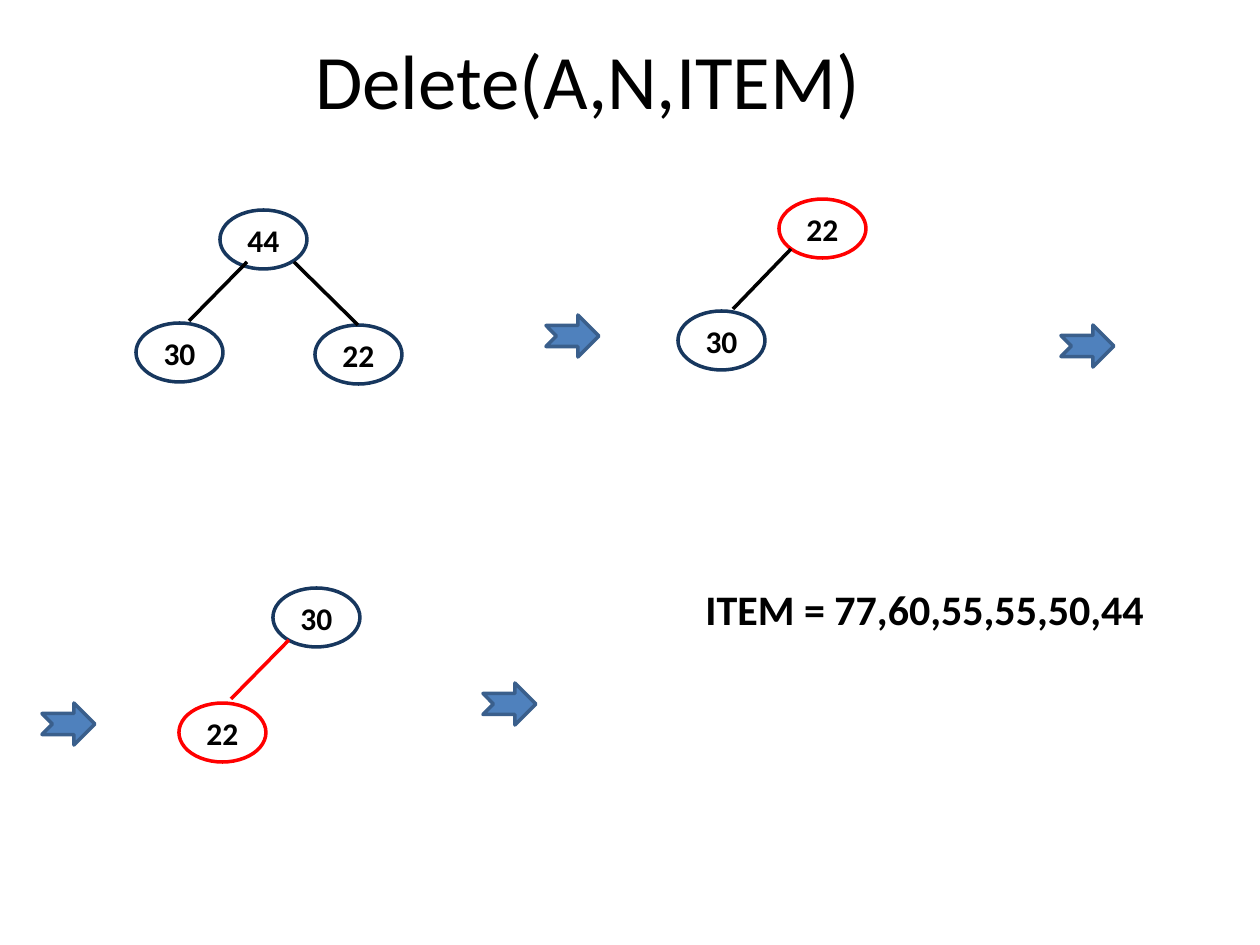
"""Build the slide that shows heap deletion step by step."""
import pptx
import pptx.util
import pptx.dml.color
import pptx.enum.shapes
import pptx.enum.text
import pptx.oxml

EMU_PER_PX = 914400 / 126
FONT = "Calibri"
NODE_SIZE = (87, 59)
ARROW_SIZE = (53, 42)
LINE_WIDTH = pptx.util.Pt(2)
BLACK = pptx.dml.color.RGBColor(0x00, 0x00, 0x00)
RED = pptx.dml.color.RGBColor(0xFF, 0x00, 0x00)
NAVY = pptx.dml.color.RGBColor(0x17, 0x37, 0x5E)
BLUE = pptx.dml.color.RGBColor(0x4F, 0x81, 0xBD)
DARK_BLUE = pptx.dml.color.RGBColor(0x3A, 0x5F, 0x8C)

TREES = [
    {
        "nodes": [("44", 220, 210, NAVY), ("30", 136, 323, NAVY), ("22", 315, 325, NAVY)],
        "edges": [(189, 321, 247, 262, BLACK), (294, 262, 358, 325, BLACK)],
    },
    {
        "nodes": [("22", 779, 199, RED), ("30", 678, 311, NAVY)],
        "edges": [(733, 309, 791, 249, BLACK)],
    },
    {
        "nodes": [("30", 273, 588, NAVY), ("22", 179, 703, RED)],
        "edges": [(231, 699, 289, 640, RED)],
    },
]
ARROWS = [(546, 315), (1061, 325), (483, 683), (42, 703)]


def px(*lengths):
    """Turn pixel lengths into EMU."""
    return [pptx.util.Emu(round(length * EMU_PER_PX)) for length in lengths]


def write_text(shape, text, size, bold, centred):
    """Write one paragraph into a shape."""
    para = shape.text_frame.paragraphs[0]
    if centred:
        para.alignment = pptx.enum.text.PP_ALIGN.CENTER
    span = para.add_run()
    span.text = text
    span.font.name = FONT
    span.font.size = pptx.util.Pt(size)
    span.font.bold = bold
    span.font.color.rgb = BLACK


def add_label(page, text, bounds, size, bold=False, centred=False):
    """Add a wrapping text box."""
    box = page.shapes.add_textbox(*px(*bounds))
    box.text_frame.word_wrap = True
    if centred:
        box.text_frame.vertical_anchor = pptx.enum.text.MSO_ANCHOR.MIDDLE
    write_text(box, text, size, bold, centred)


def add_node(group, text, left, top, colour):
    """Add an outlined tree node with its value."""
    node = group.shapes.add_shape(
        pptx.enum.shapes.MSO_SHAPE.OVAL, *px(left, top, *NODE_SIZE))
    node.shadow.inherit = False
    node.fill.background()
    node.line.color.rgb = colour
    node.line.width = LINE_WIDTH
    frame = node.text_frame
    frame.margin_left = frame.margin_right = 0
    frame.vertical_anchor = pptx.enum.text.MSO_ANCHOR.MIDDLE
    write_text(node, text, 18, True, True)


def add_edge(group, x1, y1, x2, y2, colour):
    """Add a straight line between two nodes."""
    edge = group.shapes.add_connector(
        pptx.enum.shapes.MSO_CONNECTOR.STRAIGHT, *px(x1, y1, x2, y2))
    edge.line.color.rgb = colour
    edge.line.width = LINE_WIDTH
    properties = edge.element.spPr
    properties.append(properties.makeelement(pptx.oxml.ns.qn("a:effectLst"), {}))


def add_tree(page, nodes, edges):
    """Add a group that holds the nodes and edges of one tree."""
    group = page.shapes.add_group_shape()
    for node in nodes:
        add_node(group, *node)
    for edge in edges:
        add_edge(group, *edge)


def add_step_arrow(page, left, top):
    """Add a notched arrow that leads to the next step."""
    arrow = page.shapes.add_shape(
        pptx.enum.shapes.MSO_SHAPE.NOTCHED_RIGHT_ARROW, *px(left, top, *ARROW_SIZE))
    arrow.shadow.inherit = False
    arrow.fill.solid()
    arrow.fill.fore_color.rgb = BLUE
    arrow.line.color.rgb = DARK_BLUE
    arrow.line.width = LINE_WIDTH


def main():
    """Build and save the deck."""
    deck = pptx.Presentation()
    deck.slide_width, deck.slide_height = px(1260, 945)
    page = deck.slides.add_slide(deck.slide_layouts[6])
    add_label(page, "Delete(A,N,ITEM)", (21, 0, 1134, 158), 44, centred=True)
    add_label(page, "ITEM = 77,60,55,55,50,44", (693, 577, 536, 63), 24, bold=True)
    for arrow in ARROWS:
        add_step_arrow(page, *arrow)
    for tree in TREES:
        add_tree(page, **tree)
    deck.save("out.pptx")


if __name__ == "__main__":
    main()
